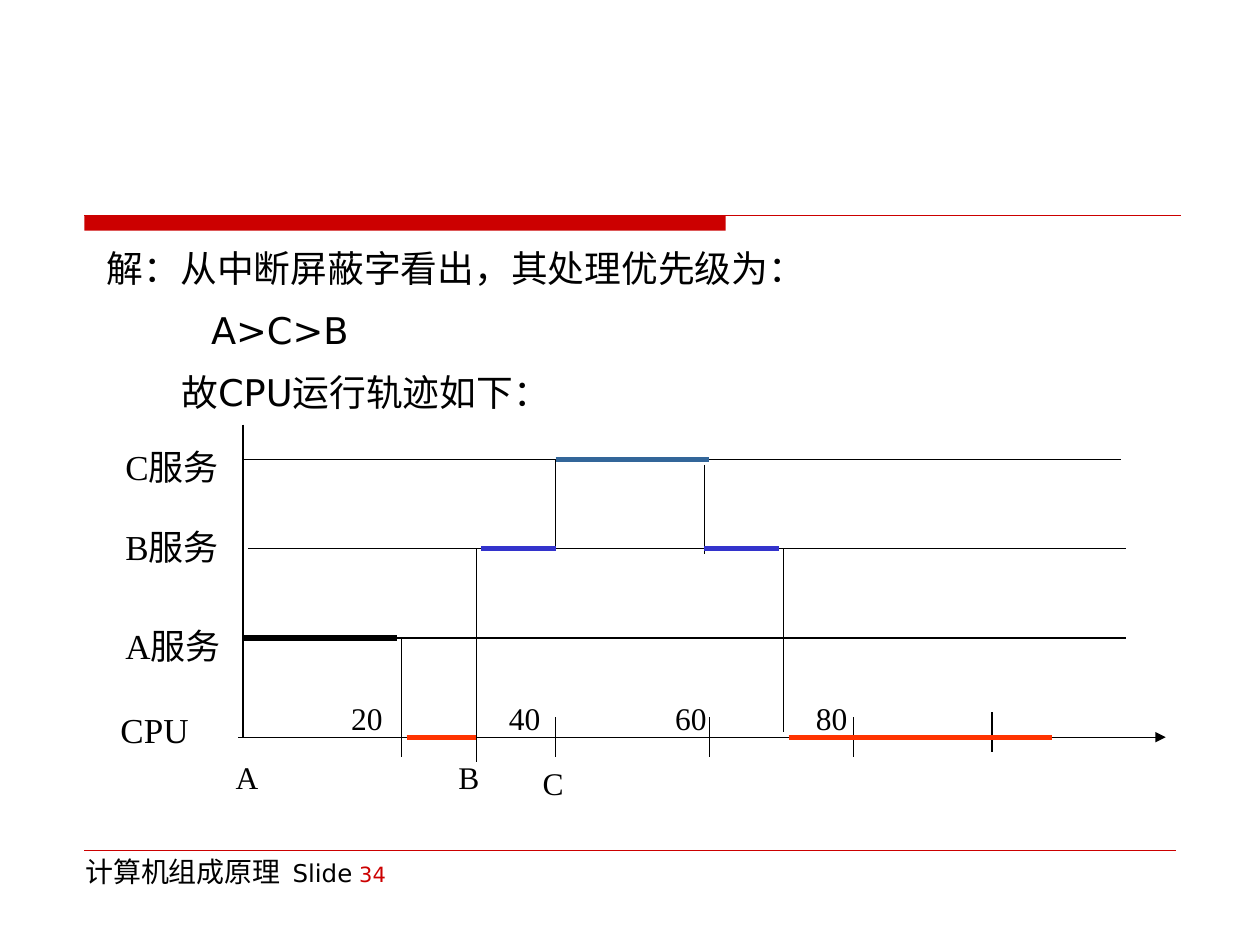
from lxml import etree
from pptx import Presentation
from pptx import util as u
from pptx.dml import color
from pptx.enum import shapes, text
from pptx.oxml import ns

SANS, SERIF = "DejaVu Sans", "Times New Roman"
BLACK, RED, ORANGE, BLUE, TEAL = "000000", "CC0000", "FF3300", "3333CC", "336699"


def rgb(value):
    return color.RGBColor.from_string(value)


def style_font(font, size, name, colour=BLACK):
    font.size = u.Pt(size)
    font.name = name
    font.color.rgb = rgb(colour)


def add_line(slide, start, end, colour=BLACK, width=0.75, arrow=False):
    points = [u.Cm(value) for value in (*start, *end)]
    line = slide.shapes.add_connector(shapes.MSO_CONNECTOR.STRAIGHT, *points)
    line.line.color.rgb = rgb(colour)
    line.line.width = u.Pt(width)
    if arrow:
        etree.SubElement(line.line._get_or_add_ln(), ns.qn("a:tailEnd"), type="triangle")
    etree.SubElement(line._element.spPr, ns.qn("a:effectLst"))


def add_text_box(slide, left, top, width, height):
    box = slide.shapes.add_textbox(*[u.Cm(value) for value in (left, top, width, height)])
    box.text_frame.word_wrap = True
    return box.text_frame.paragraphs[0]


def add_label(slide, left, top, width, label, size, tabs=()):
    paragraph = add_text_box(slide, left, top, width, 1.1)
    paragraph.text = label
    if tabs:
        tab_list = etree.SubElement(paragraph._p.get_or_add_pPr(), ns.qn("a:tabLst"))
        for position in tabs:
            etree.SubElement(tab_list, ns.qn("a:tab"), pos=str(u.Cm(position)), algn="l")
    style_font(paragraph.font, size, SERIF)


def add_header(slide, left, top, width, height):
    band = slide.shapes.add_shape(
        shapes.MSO_SHAPE.RECTANGLE, u.Cm(left), u.Cm(top), u.Cm(width * 0.585), u.Cm(height))
    band.shadow.inherit = False
    band.fill.solid()
    band.fill.fore_color.rgb = rgb(RED)
    band.line.fill.background()
    add_line(slide, (left, top), (left + width, top), RED)


def add_footer(slide, left, top, width):
    add_line(slide, (left, top), (left + width, top), RED, 0.25)
    paragraph = add_text_box(slide, left - 0.23, top - 0.05, 7.62, 1.32)
    for words, size, colour in (("计算机组成原理 ", 16, BLACK), (" Slide", 14, BLACK),
                                (" ", 12, BLACK), ("34", 12, RED)):
        run = paragraph.add_run()
        run.text = words
        style_font(run.font, size, SANS, colour)


def add_solution(slide, left, top, width, height):
    body = slide.placeholders[1]
    body.left, body.top, body.width, body.height = map(u.Cm, (left, top, width, height))
    frame = body.text_frame
    frame.auto_size = text.MSO_AUTO_SIZE.NONE
    frame.vertical_anchor = text.MSO_ANCHOR.TOP
    lines = (("解：从中断屏蔽字看出，其处理优先级为：", 0), ("A>C>B", 2.1), ("故CPU运行轨迹如下：", 1.5))
    for index, (words, indent) in enumerate(lines):
        paragraph = frame.add_paragraph() if index else frame.paragraphs[0]
        paragraph.text = words
        paragraph.line_spacing = 1.2
        paragraph.space_before = u.Pt(5.2 if index else 0)
        properties = paragraph._p.get_or_add_pPr()
        properties.set("marL", str(u.Cm(indent)))
        properties.set("indent", "0")
        etree.SubElement(properties, ns.qn("a:buNone"))
        style_font(paragraph.font, 21, SANS)


def add_timeline(slide, left, top):
    c_level, b_level, a_level, cpu_level = 0.71, 2.5, 4.3, 6.3

    def draw(x1, y1, x2, y2, **style):
        add_line(slide, (left + x1, top + y1), (left + x2, top + y2), **style)

    draw(-0.1, cpu_level, 18.6, cpu_level, arrow=True)
    draw(0, 0, 0, cpu_level)
    for level, start in ((c_level, 0), (b_level, 0.1), (a_level, 0.1)):
        draw(start, level, start + 17.7, level)
    for x, tick_top in ((3.2, 5.9), (4.7, 6), (6.3, 5.9), (9.4, 5.9), (12.3, 5.9), (15.1, 5.8)):
        draw(x, tick_top, x, tick_top + 0.8)

    for x, start, end in ((3.2, a_level, cpu_level), (4.7, b_level, 6.2), (6.3, c_level, b_level),
                          (9.3, 0.81, 2.6), (10.9, b_level, 6.2)):
        draw(x, start, x, end)
    for start, end, level, colour in (
            (0, 3.1, a_level, BLACK), (3.3, 4.7, cpu_level, ORANGE), (4.8, 6.3, b_level, BLUE),
            (6.3, 9.4, c_level, TEAL), (9.3, 10.8, b_level, BLUE), (11, 16.3, cpu_level, ORANGE)):
        draw(start, level, end, level, colour=colour, width=3)

    for label, x, y in (("A服务", -2.62, 3.91), ("B服务", -2.62, 1.9),
                        ("C服务", -2.62, 0.3), ("CPU", -2.72, 5.59)):
        add_label(slide, left + x, top + y, 3, label, 20)
    for label, x, y in (("A", -0.4, 6.6), ("B", 4.09, 6.6), ("C", 5.79, 6.71)):
        add_label(slide, left + x, top + y, 1.3, label, 18)
    add_label(slide, left + 1.93, top + 5.41, 11.4, "20\t40\t60\t80", 18, (3.18, 6.53, 9.37))


def main():
    presentation = Presentation()
    presentation.slide_width, presentation.slide_height = u.Cm(25.4), u.Cm(19.05)
    slide = presentation.slides.add_slide(presentation.slide_layouts[1])
    title = slide.shapes.title._element
    title.getparent().remove(title)
    add_header(slide, 1.7, 4.34, 22.1, 0.31)
    add_footer(slide, 1.7, 17.15, 22)
    add_solution(slide, 1.9, 4.65, 21.6, 4.1)
    add_timeline(slide, 4.9, 8.56)
    presentation.save("out.pptx")


if __name__ == "__main__":
    main()
